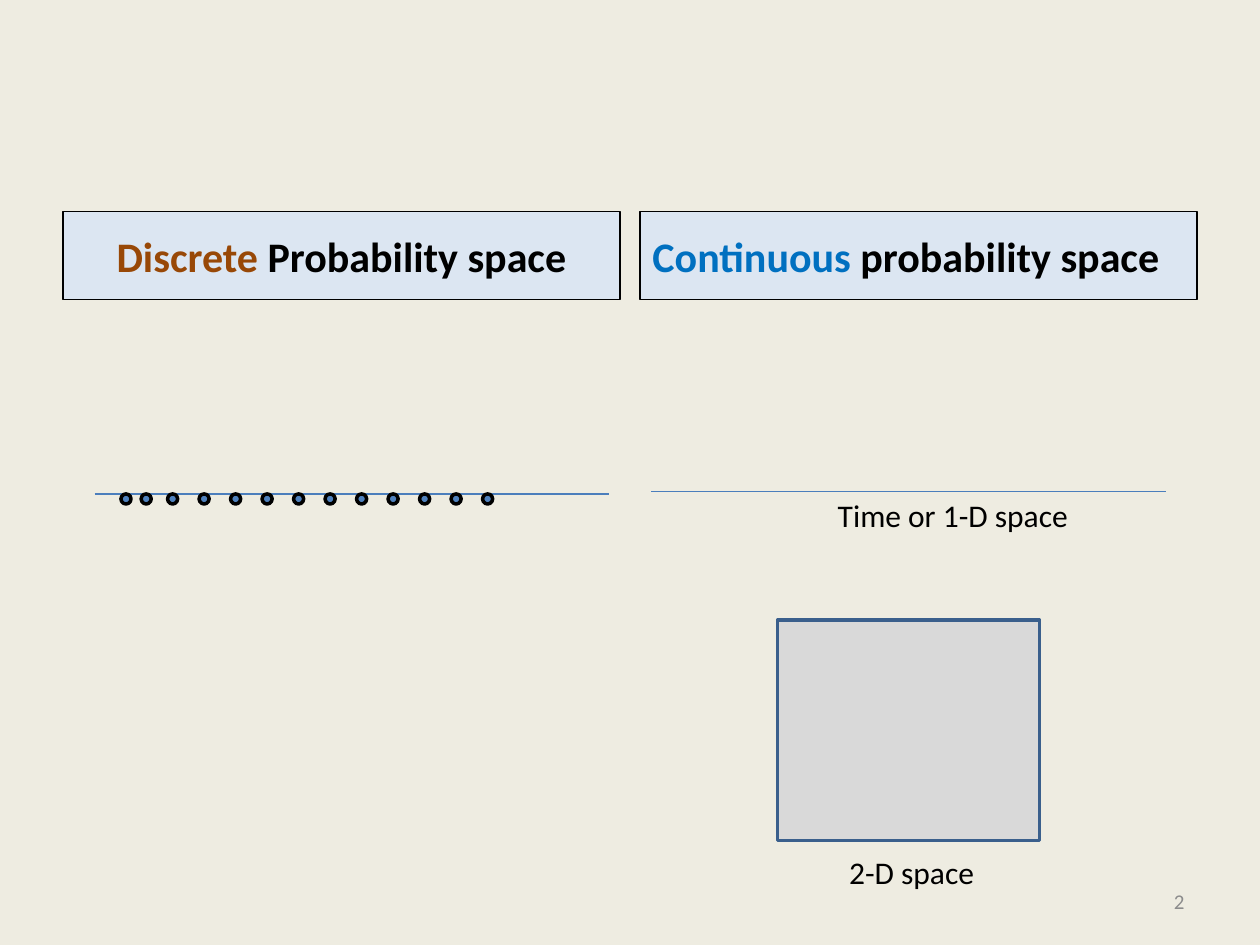
import dataclasses

import pptx
import pptx.dml.color
import pptx.enum.shapes
import pptx.enum.text
import pptx.oxml
import pptx.oxml.ns
import pptx.util

Inches = pptx.util.Inches
Pt = pptx.util.Pt
MSO_SHAPE = pptx.enum.shapes.MSO_SHAPE
PP_ALIGN = pptx.enum.text.PP_ALIGN
MSO_ANCHOR = pptx.enum.text.MSO_ANCHOR


@dataclasses.dataclass(frozen=True)
class Theme:
    font: str = "Calibri"
    background: str = "EEECE1"
    ink: str = "000000"
    header_fill: str = "DCE6F2"
    discrete: str = "984807"
    continuous: str = "0070C0"
    axis: str = "4B7EBC"
    dot: str = "4F81BD"
    plane_fill: str = "D9D9D9"
    plane_line: str = "3A5F8C"
    muted: str = "8C8C8C"
    header_size: int = 24
    label_size: int = 18
    number_size: int = 12
    thin: float = 0.75
    thick: float = 2


THEME = Theme()


def rgb(value):
    return pptx.dml.color.RGBColor.from_string(value)


def add_box(shapes, kind, box, fill, line, width):
    shape = shapes.add_shape(kind, *map(Inches, box))
    shape.shadow.inherit = False
    shape.fill.solid()
    shape.fill.fore_color.rgb = rgb(fill)
    shape.line.color.rgb = rgb(line)
    shape.line.width = Pt(width)
    return shape


def add_header(slide, box, key_word, key_color, rest, align):
    header = add_box(slide.shapes, MSO_SHAPE.RECTANGLE, box,
                     THEME.header_fill, THEME.ink, THEME.thin)
    header.text_frame.word_wrap = True
    header.text_frame.vertical_anchor = MSO_ANCHOR.MIDDLE
    heading = header.text_frame.paragraphs[0]
    heading.alignment = align
    heading.font.name = THEME.font
    heading.font.size = Pt(THEME.header_size)
    heading.font.bold = True
    for words, color in ((key_word, key_color), (rest, THEME.ink)):
        run = heading.add_run()
        run.text = words
        run.font.color.rgb = rgb(color)


def add_label(slide, box, words, size, color, align=PP_ALIGN.LEFT,
              anchor=MSO_ANCHOR.TOP, wrap=False):
    frame = slide.shapes.add_textbox(*map(Inches, box)).text_frame
    frame.word_wrap = wrap
    frame.vertical_anchor = anchor
    label = frame.paragraphs[0]
    label.text = words
    label.alignment = align
    label.font.name = THEME.font
    label.font.size = Pt(size)
    label.font.color.rgb = rgb(color)


def add_axis(slide, left, top, width):
    axis = slide.shapes.add_connector(
        pptx.enum.shapes.MSO_CONNECTOR.STRAIGHT,
        Inches(left), Inches(top), Inches(left + width), Inches(top))
    axis.line.color.rgb = rgb(THEME.axis)
    axis.line.width = Pt(THEME.thin)
    axis._element.spPr.append(pptx.oxml.parse_xml(
        f'<a:effectLst {pptx.oxml.ns.nsdecls("a")}/>'))


def add_discrete_space(slide, box):
    left, top, width, height = box
    add_header(slide, (left, top, width, height), "Discrete", THEME.discrete,
               " Probability space", PP_ALIGN.CENTER)
    axis_top = top + 2.24
    add_axis(slide, left + 0.25, axis_top, 4.08)
    dots = slide.shapes.add_group_shape()
    offsets = [0.46, 0.62] + [0.83 + 0.25 * step for step in range(11)]
    for offset in offsets:
        add_box(dots.shapes, MSO_SHAPE.OVAL, (left + offset, axis_top, 0.08, 0.08),
                THEME.dot, THEME.ink, THEME.thick)


def add_continuous_space(slide, box):
    left, top, width, height = box
    add_header(slide, (left, top, width, height), "Continuous", THEME.continuous,
               " probability space", PP_ALIGN.LEFT)
    add_axis(slide, left + 0.09, top + 2.22, 4.08)
    add_label(slide, (left + 1.47, top + 2.21, 2.05, 0.4), "Time or 1-D space",
              THEME.label_size, THEME.ink)
    add_box(slide.shapes, MSO_SHAPE.RECTANGLE, (left + 1.09, top + 3.24, 2.08, 1.75),
            THEME.plane_fill, THEME.plane_line, THEME.thick)
    add_label(slide, (left + 1.56, top + 5.04, 1.21, 0.4), "2-D space",
              THEME.label_size, THEME.ink)


def add_slide_number(slide, box):
    add_label(slide, box, "2", THEME.number_size, THEME.muted,
              PP_ALIGN.RIGHT, MSO_ANCHOR.MIDDLE, wrap=True)


def main():
    deck = pptx.Presentation()
    deck.slide_width = Inches(10)
    deck.slide_height = Inches(7.5)
    slide = deck.slides.add_slide(deck.slide_layouts[6])
    slide.background.fill.solid()
    slide.background.fill.fore_color.rgb = rgb(THEME.background)
    add_discrete_space(slide, (0.5, 1.68, 4.42, 0.7))
    add_continuous_space(slide, (5.08, 1.68, 4.42, 0.7))
    add_slide_number(slide, (7.17, 6.95, 2.33, 0.4))
    deck.save("out.pptx")


if __name__ == "__main__":
    main()
